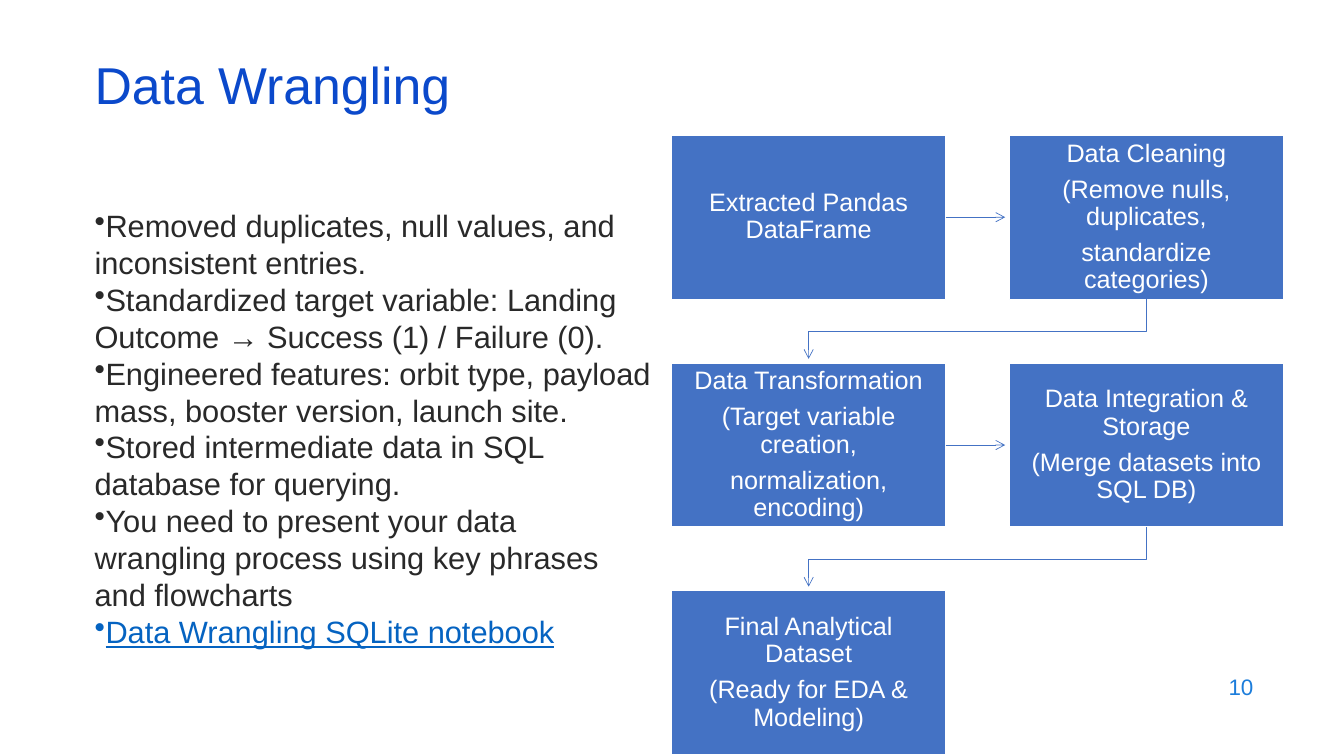
from lxml import etree
from pptx import Presentation
from pptx.dml.color import RGBColor
from pptx.enum.shapes import MSO_CONNECTOR, MSO_SHAPE
from pptx.enum.text import MSO_ANCHOR, PP_ALIGN
from pptx.oxml.ns import qn
from pptx.util import Inches, Pt

RECTANGLE = MSO_SHAPE.RECTANGLE
STRAIGHT = MSO_CONNECTOR.STRAIGHT
TOP, MIDDLE = MSO_ANCHOR.TOP, MSO_ANCHOR.MIDDLE
LEFT, CENTER, RIGHT = PP_ALIGN.LEFT, PP_ALIGN.CENTER, PP_ALIGN.RIGHT

# Content
TITLE = "Data Wrangling"
PAGE_NUMBER = "10"
POINTS = [
    "Removed duplicates, null values, and inconsistent entries.",
    "Standardized target variable: Landing Outcome → Success (1) / Failure (0).",
    "Engineered features: orbit type, payload mass, booster version, launch site.",
    "Stored intermediate data in SQL database for querying.",
    "You need to present your data wrangling process using key phrases and flowcharts",
]
NOTEBOOK = "Data Wrangling SQLite notebook"
STEPS = [
    ["Extracted Pandas DataFrame"],
    ["Data Cleaning", "(Remove nulls, duplicates,", "standardize categories)"],
    ["Data Transformation", "(Target variable creation,", "normalization, encoding)"],
    ["Data Integration & Storage", "(Merge datasets into SQL DB)"],
    ["Final Analytical Dataset", "(Ready for EDA & Modeling)"],
]

FONT = "Arial"
COLORS = {
    "title": "0B49CB",
    "body": "292929",
    "link": "0563C1",
    "number": "1C7DDB",
    "step": "4472C4",
    "white": "FFFFFF",
}

# Flowchart grid, in inches
COLUMNS = 2
FLOW_LEFT, FLOW_TOP = 6.66, 1.34
STEP_WIDTH, STEP_HEIGHT = 2.72, 1.63
PITCH_X, PITCH_Y = 3.35, 2.26
ARROW_GAP = 0.04
ELBOW_DROP = 0.32


def color(name):
    return RGBColor.from_string(COLORS[name])


def add_text(frame, text, size=18, fill="body", align=LEFT, spacing=1.0,
             after=0, bullet=None, underline=None):
    """Append one formatted paragraph to a text frame."""
    para = frame.paragraphs[0]
    if para.runs:
        para = frame.add_paragraph()
    para.alignment = align
    para.line_spacing = spacing
    para.space_before = Pt(0)
    para.space_after = Pt(after)
    if bullet:
        properties = para._p.get_or_add_pPr()
        properties.set("marL", "0")
        properties.set("indent", "0")
        etree.SubElement(properties, qn("a:buChar")).set("char", bullet)
    span = para.add_run()
    span.text = text
    span.font.name = FONT
    span.font.size = Pt(size)
    span.font.color.rgb = color(fill)
    span.font.underline = underline


def add_box(page, left, top, width, height, anchor=MIDDLE):
    box = page.shapes.add_textbox(
        Inches(left), Inches(top), Inches(width), Inches(height))
    box.text_frame.word_wrap = True
    box.text_frame.vertical_anchor = anchor
    return box.text_frame


def style_arrow(arrow):
    arrow.line.color.rgb = color("step")
    arrow.line.width = Pt(0.5)
    etree.SubElement(arrow.line._get_or_add_ln(), qn("a:tailEnd")).set("type", "arrow")


def step_position(index):
    row, column = divmod(index, COLUMNS)
    return FLOW_LEFT + column * PITCH_X, FLOW_TOP + row * PITCH_Y


def add_step(page, index, lines):
    left, top = step_position(index)
    step = page.shapes.add_shape(
        RECTANGLE, Inches(left), Inches(top), Inches(STEP_WIDTH), Inches(STEP_HEIGHT))
    step.shadow.inherit = False
    step.fill.solid()
    step.fill.fore_color.rgb = color("step")
    step.line.color.rgb = color("white")
    step.line.width = Pt(1)
    frame = step.text_frame
    frame.word_wrap = True
    frame.vertical_anchor = MIDDLE
    frame.margin_left = frame.margin_right = Inches(0.14)
    frame.margin_top = frame.margin_bottom = Inches(0.02)
    for line in lines:
        last = line == lines[-1]
        add_text(frame, line, fill="white", align=CENTER, spacing=0.9,
                 after=0 if last else 6.3)


def add_arrow(page, index):
    """Join a step to the next one: straight along a row, elbow between rows."""
    left, top = step_position(index)
    next_left, next_top = step_position(index + 1)
    if top == next_top:
        middle = Inches(top + STEP_HEIGHT / 2)
        arrow = page.shapes.add_connector(
            STRAIGHT, Inches(left + STEP_WIDTH), middle,
            Inches(next_left - ARROW_GAP), middle)
        etree.SubElement(arrow._element.spPr, qn("a:effectLst"))
    else:
        start_x, end_x = left + STEP_WIDTH / 2, next_left + STEP_WIDTH / 2
        start_y, end_y = top + STEP_HEIGHT, next_top - ARROW_GAP
        turn_y = start_y + ELBOW_DROP
        builder = page.shapes.build_freeform(Inches(start_x), Inches(start_y))
        corners = [(start_x, turn_y), (end_x, turn_y), (end_x, end_y)]
        builder.add_line_segments(
            [(Inches(x), Inches(y)) for x, y in corners], close=False)
        arrow = builder.convert_to_shape()
        arrow.fill.background()
        arrow.shadow.inherit = False
    style_arrow(arrow)


def main():
    deck = Presentation()
    deck.slide_width, deck.slide_height = Inches(13.33), Inches(7.5)
    page = deck.slides.add_slide(deck.slide_layouts[6])

    # Title and page number
    add_text(add_box(page, 0.84, 0.59, 11.5, 0.6), TITLE,
             size=37, fill="title", spacing=0.8)
    add_text(add_box(page, 9.53, 6.59, 3, 0.44), PAGE_NUMBER,
             size=16, fill="number", align=RIGHT)

    # Key points
    body = add_box(page, 0.84, 2, 5.73, 4.76, anchor=TOP)
    for point in POINTS:
        add_text(body, point, size=22, spacing=Pt(26.4), bullet="•")
    add_text(body, NOTEBOOK, size=22, fill="link", spacing=Pt(26.4),
             bullet="•", underline=True)

    # Flowchart
    for index, lines in enumerate(STEPS):
        add_step(page, index, lines)
    for index in range(len(STEPS) - 1):
        add_arrow(page, index)

    deck.save("out.pptx")


if __name__ == "__main__":
    main()
